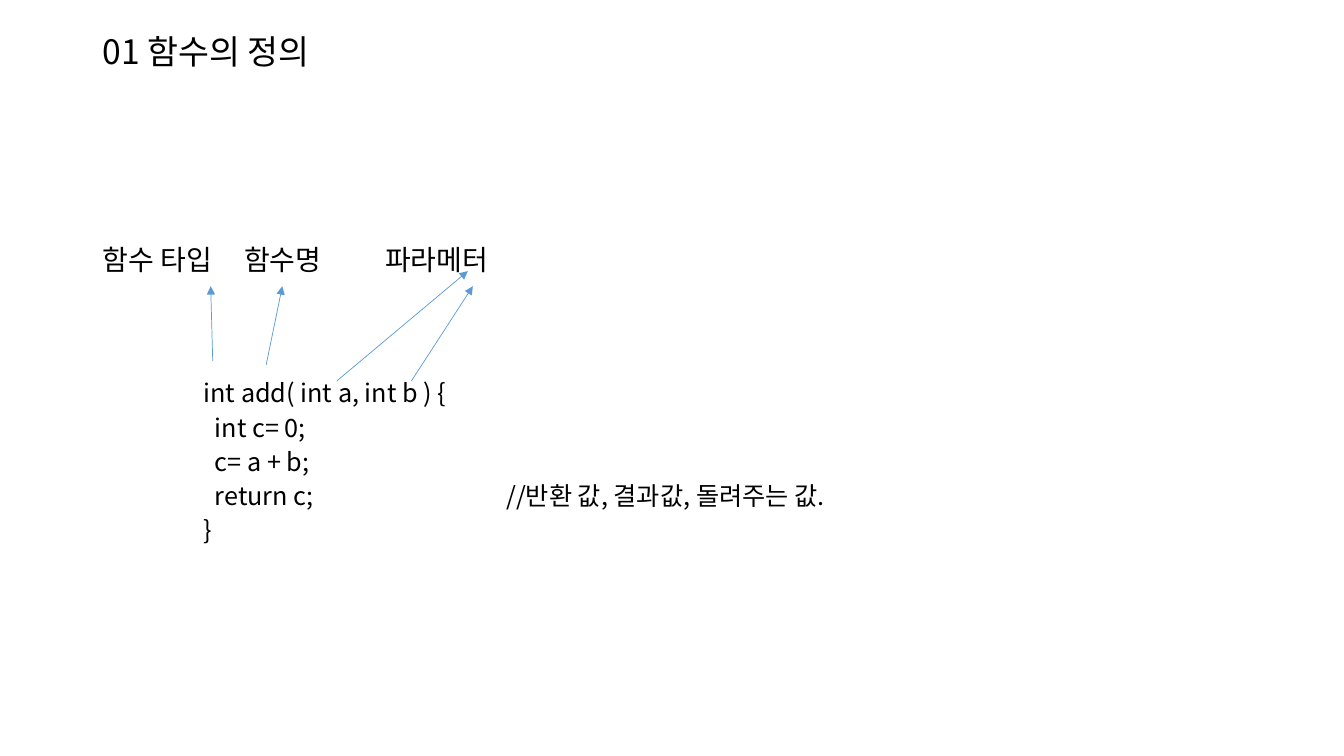
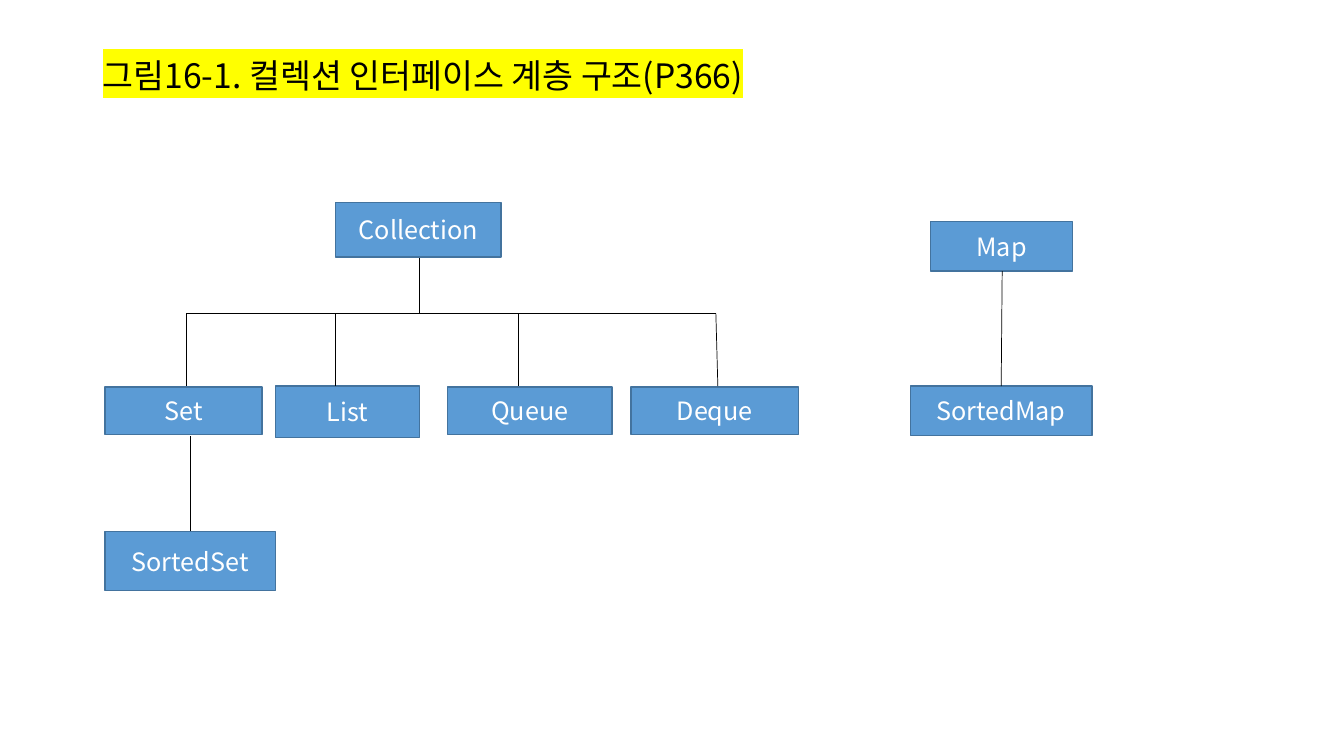
from lxml import etree
from pptx import Presentation
from pptx.dml.color import RGBColor
from pptx.enum.shapes import MSO_CONNECTOR, MSO_SHAPE
from pptx.enum.text import MSO_ANCHOR, MSO_AUTO_SIZE, PP_ALIGN
from pptx.oxml.ns import qn
from pptx.util import Inches, Pt

STRAIGHT = MSO_CONNECTOR.STRAIGHT
RECTANGLE = MSO_SHAPE.RECTANGLE
MIDDLE = MSO_ANCHOR.MIDDLE
LEFT, CENTER = PP_ALIGN.LEFT, PP_ALIGN.CENTER
NO_AUTOFIT = MSO_AUTO_SIZE.NONE

FONT = "Noto Sans CJK KR"
COLORS = {"text": "000000", "box": "5B9BD5", "box_line": "43739E",
          "box_text": "FFFFFF", "highlight": "FFFF00"}
TITLE_LEFT, TITLE_WIDTH = 0.92, 11.5
TITLE_AND_BODY, TITLE_ONLY = 1, 5

FUNCTION_TITLE = "01 함수의 정의"
LABELS = "함수 타입\t함수명\t파라메터"
LABEL_TAB = 1.4
CODE = [
    "int add( int a, int b ) {",
    "  int c= 0;",
    "  c= a + b;",
    "  return c;\t\t//반환 값, 결과값, 돌려주는 값.",
    "}",
]
CODE_INDENT = CODE_TAB = 1
LINE_HEIGHT = 24.5
GAP_ABOVE_CODE = 69.5
LABEL_ARROWS = [  # from code (x, y) to label (x, y)
    ((2.11, 3.58), (2.09, 2.84)),
    ((2.64, 3.62), (2.8, 2.84)),
    ((3.34, 3.78), (4.64, 2.69)),
    ((4.08, 3.78), (4.69, 2.84)),
]

COLLECTION_TITLE = "그림16-1. 컬렉션 인터페이스 계층 구조(P366)"
INTERFACES = [  # name, left, top, width, height
    ("Collection", 3.33, 2.01, 1.64, 0.54),
    ("Set", 1.04, 3.84, 1.56, 0.47),
    ("List", 2.73, 3.83, 1.43, 0.51),
    ("Queue", 4.44, 3.84, 1.63, 0.47),
    ("Deque", 6.26, 3.84, 1.66, 0.47),
    ("Map", 9.23, 2.2, 1.41, 0.49),
    ("SortedMap", 9.03, 3.83, 1.8, 0.49),
    ("SortedSet", 1.04, 5.27, 1.69, 0.59),
]
BRANCH_Y, CHILD_Y = 3.11, 3.83
BRANCHES = [(1.85, 1.85), (3.33, 3.33), (5.14, 5.14), (7.1, 7.12)]  # x at top, x at child
STEMS = [
    ((4.16, 2.56), (4.16, BRANCH_Y)),
    ((1.89, 4.33), (1.89, 5.27)),
    ((9.94, 2.69), (9.93, CHILD_Y)),
]


def rgb(name):
    """Return the named colour."""
    return RGBColor.from_string(COLORS[name])


def add_element(parent, tag, **attributes):
    """Append a DrawingML element and return it."""
    return etree.SubElement(parent, qn(tag), attributes)


def format_paragraph(paragraph, size, color="text", alignment=LEFT):
    """Set alignment and the Latin and East Asian font of a paragraph."""
    paragraph.alignment = alignment
    font = paragraph.font
    font.size = Pt(size)
    font.name = FONT
    font.color.rgb = rgb(color)
    properties = paragraph._p.pPr.find(qn("a:defRPr"))
    add_element(properties, "a:ea", typeface=FONT)


def place(shape, left, top, width, height):
    """Move and size a shape, in inches."""
    shape.left, shape.top = Inches(left), Inches(top)
    shape.width, shape.height = Inches(width), Inches(height)


def add_titled_slide(presentation, layout, text, top, height):
    """Add a slide with the shared title style."""
    slide = presentation.slides.add_slide(presentation.slide_layouts[layout])
    title = slide.shapes.title
    place(title, TITLE_LEFT, top, TITLE_WIDTH, height)
    title.text_frame.text = text
    title.text_frame.vertical_anchor = MIDDLE
    paragraph = title.text_frame.paragraphs[0]
    paragraph.line_spacing = 0.9
    format_paragraph(paragraph, 24)
    return slide


def highlight(run):
    """Mark a run with the highlight colour."""
    mark = add_element(run.font._element, "a:highlight")
    add_element(mark, "a:srgbClr", val=COLORS["highlight"])


def add_tabbed_line(paragraph, text, size, tab, indent=0, space_before=0):
    """Fill an unbulleted paragraph whose columns sit on equal tab steps."""
    paragraph.text = text
    paragraph.line_spacing = Pt(LINE_HEIGHT)
    paragraph.space_before = Pt(space_before)
    properties = paragraph._p.get_or_add_pPr()
    properties.set("marL", str(Inches(indent)))
    properties.set("indent", "0")
    properties.set("defTabSz", str(Inches(tab)))
    add_element(properties, "a:buNone")
    format_paragraph(paragraph, size)


def add_line(slide, start, end, color="text", arrow=False):
    """Draw a thin straight line, with an arrowhead at its end if asked."""
    points = [Inches(value) for value in (*start, *end)]
    line = slide.shapes.add_connector(STRAIGHT, *points)
    line.line.color.rgb = rgb(color)
    line.line.width = Pt(0.5)
    if arrow:
        add_element(line.line._get_or_add_ln(), "a:tailEnd", type="triangle")
    add_element(line._element.spPr, "a:effectLst")


def add_interface(slide, name, *position):
    """Draw one interface box."""
    box = slide.shapes.add_shape(RECTANGLE, *map(Inches, position))
    box.shadow.inherit = False
    box.fill.solid()
    box.fill.fore_color.rgb = rgb("box")
    box.line.color.rgb = rgb("box_line")
    box.line.width = Pt(1)
    box.text_frame.text = name
    box.text_frame.vertical_anchor = MIDDLE
    format_paragraph(box.text_frame.paragraphs[0], 18, "box_text", CENTER)


def build_function_slide(presentation):
    """Explain the parts of a function definition."""
    slide = add_titled_slide(presentation, TITLE_AND_BODY, FUNCTION_TITLE, 0.17, 0.72)
    body = slide.placeholders[1]
    place(body, TITLE_LEFT, 1.04, TITLE_WIDTH, 6.09)
    frame = body.text_frame
    frame.auto_size = NO_AUTOFIT
    frame.margin_top = Inches(1.36)
    add_tabbed_line(frame.paragraphs[0], LABELS, 20, LABEL_TAB)
    for index, text in enumerate(CODE):
        gap = 0 if index else GAP_ABOVE_CODE
        add_tabbed_line(frame.add_paragraph(), text, 18, CODE_TAB, CODE_INDENT, gap)
    for start, end in LABEL_ARROWS:
        add_line(slide, start, end, "box", arrow=True)


def build_collection_slide(presentation):
    """Draw the hierarchy of collection interfaces."""
    slide = add_titled_slide(presentation, TITLE_ONLY, COLLECTION_TITLE, 0.4, 0.73)
    highlight(slide.shapes.title.text_frame.paragraphs[0].runs[0])
    for interface in INTERFACES:
        add_interface(slide, *interface)
    add_line(slide, (BRANCHES[0][0], BRANCH_Y), (BRANCHES[-1][0], BRANCH_Y))
    for top_x, child_x in BRANCHES:
        add_line(slide, (top_x, BRANCH_Y), (child_x, CHILD_Y))
    for start, end in STEMS:
        add_line(slide, start, end)


presentation = Presentation()
presentation.slide_width = Inches(13.33)
presentation.slide_height = Inches(7.5)
build_function_slide(presentation)
build_collection_slide(presentation)
presentation.save("out.pptx")
